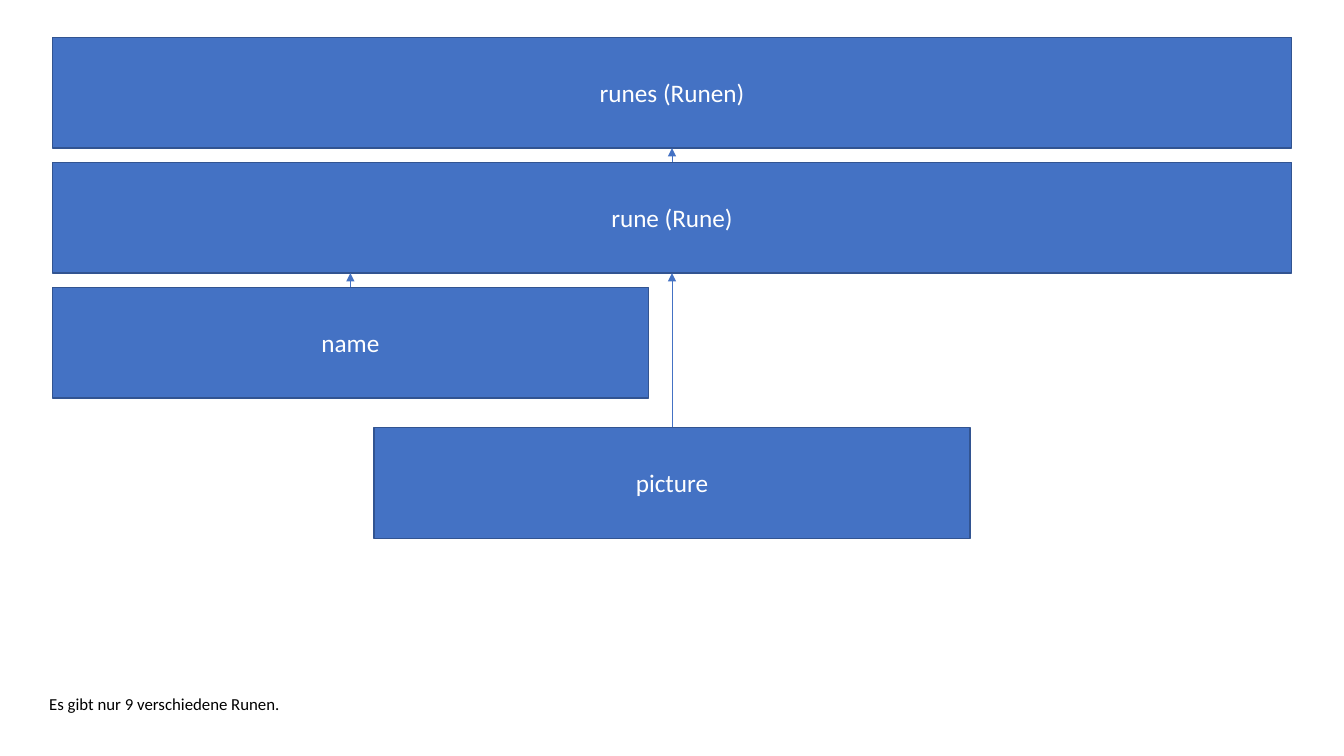
from lxml.etree import SubElement
from pptx import Presentation
from pptx.dml.color import RGBColor
from pptx.enum.shapes import MSO_CONNECTOR, MSO_SHAPE
from pptx.enum.text import MSO_ANCHOR, MSO_AUTO_SIZE, PP_ALIGN
from pptx.oxml.ns import qn
from pptx.util import Inches, Pt

# Element name, label, left, top, width, parent element
NODES = [
    ("runes", "runes (Runen)", 0.52, 0.37, 12.29, None),
    ("rune", "rune (Rune)", 0.52, 1.61, 12.29, "runes"),
    ("name", "name", 0.52, 2.85, 5.91, "rune"),
    ("picture", "picture", 3.71, 4.24, 5.91, "rune"),
]
NOTE = "Es gibt nur 9 verschiedene Runen."
NODE_HEIGHT = 1.1
BLUE, DARK_BLUE, WHITE, BLACK = "4472C4", "325491", "FFFFFF", "000000"


def color(value):
    """Turn a hex string into a colour."""
    return RGBColor.from_string(value)


def write(shape, text, size=18, ink=WHITE, align=PP_ALIGN.CENTER, anchor=MSO_ANCHOR.MIDDLE):
    """Put one formatted line of text into a shape."""
    frame = shape.text_frame
    frame.word_wrap = True
    frame.vertical_anchor = anchor
    para = frame.paragraphs[0]
    para.alignment = align
    span = para.add_run()
    span.text = text
    span.font.name = "Calibri"
    span.font.size = Pt(size)
    span.font.color.rgb = color(ink)


def add_node(page, label, left, top, width):
    """Draw one labelled element box."""
    box = page.shapes.add_shape(
        MSO_SHAPE.RECTANGLE, Inches(left), Inches(top), Inches(width), Inches(NODE_HEIGHT))
    box.shadow.inherit = False
    box.fill.solid()
    box.fill.fore_color.rgb = color(BLUE)
    box.line.color.rgb = color(DARK_BLUE)
    box.line.width = Pt(1)
    write(box, label)
    return box


def add_arrow(page, child, parent):
    """Draw an arrow from the child's top centre up to the parent's bottom edge."""
    center = child.left + child.width // 2
    arrow = page.shapes.add_connector(
        MSO_CONNECTOR.STRAIGHT, center, child.top, center, parent.top + parent.height)
    arrow.line.color.rgb = color(BLUE)
    arrow.line.width = Pt(0.5)
    SubElement(arrow.line._get_or_add_ln(), qn("a:tailEnd"), type="triangle")
    SubElement(arrow._element.spPr, qn("a:effectLst"))


deck = Presentation()
deck.slide_width, deck.slide_height = Inches(13.33), Inches(7.5)
page = deck.slides.add_slide(deck.slide_layouts[6])

boxes = {}
for name, label, left, top, width, parent in NODES:
    boxes[name] = add_node(page, label, left, top, width)
    if parent:
        add_arrow(page, boxes[name], boxes[parent])

note = page.shapes.add_textbox(Inches(0.39), Inches(6.83), Inches(2.86), Inches(0.3))
write(note, NOTE, size=12, ink=BLACK, align=PP_ALIGN.LEFT, anchor=MSO_ANCHOR.TOP)
note.text_frame.auto_size = MSO_AUTO_SIZE.SHAPE_TO_FIT_TEXT

deck.save("out.pptx")
